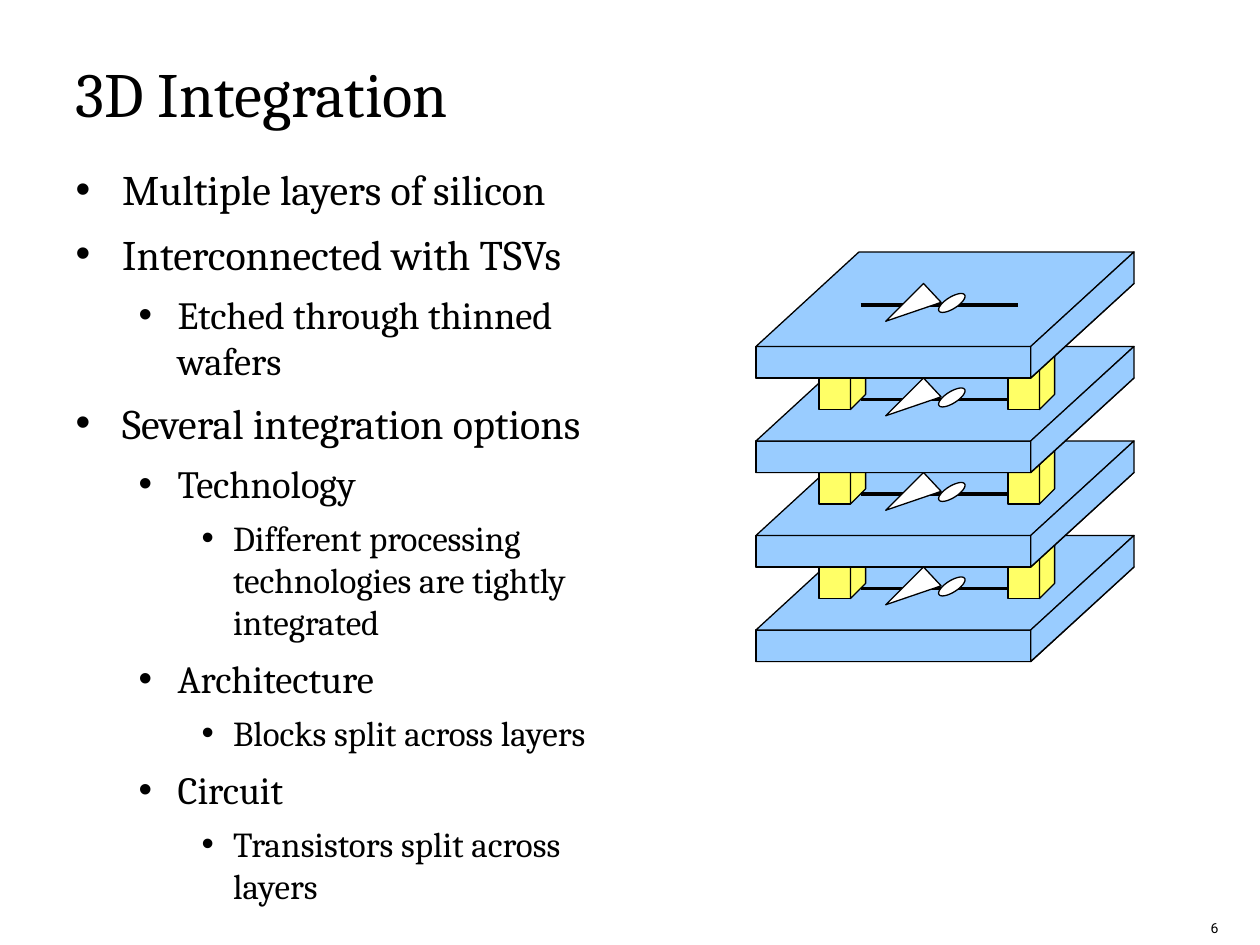
from math import cos, pi, sin

from lxml import etree
from pptx import Presentation
from pptx.dml.color import RGBColor
from pptx.enum.shapes import MSO_CONNECTOR, MSO_SHAPE
from pptx.enum.text import MSO_ANCHOR, MSO_AUTO_SIZE, PP_ALIGN
from pptx.oxml.ns import qn
from pptx.util import Pt

SCALE = 9144
RECTANGLE = MSO_SHAPE.RECTANGLE
PARALLELOGRAM = MSO_SHAPE.PARALLELOGRAM
STRAIGHT = MSO_CONNECTOR.STRAIGHT
TOP, BOTTOM = MSO_ANCHOR.TOP, MSO_ANCHOR.BOTTOM
LEFT, RIGHT = PP_ALIGN.LEFT, PP_ALIGN.RIGHT
NO_FIT = MSO_AUTO_SIZE.NONE

COLORS = {"ink": "000000", "silicon": "99CCFF", "via": "FFFF66", "gate": "FFFFFF"}
LEVELS = [
    {"size": 24, "before": 8, "margin": 37, "hang": 37},
    {"size": 22, "before": 7, "margin": 81, "hang": 31},
    {"size": 20, "before": 6, "margin": 125, "hang": 25},
]
POINTS = [
    (0, "Multiple layers of silicon"),
    (0, "Interconnected with TSVs"),
    (1, "Etched through thinned wafers"),
    (0, "Several integration options"),
    (1, "Technology"),
    (2, "Different processing technologies are tightly integrated"),
    (1, "Architecture"),
    (2, "Blocks split across layers"),
    (1, "Circuit"),
    (2, "Transistors split across layers"),
]
LAYER_TOPS = range(425, 199, -75)


def color(name):
    """Return the named palette colour."""
    return RGBColor.from_string(COLORS[name])


class SlideBuilder:
    """Holds the style and the current slide."""

    def __init__(self, page, font="Cambria"):
        """Keep the slide and its main font."""
        self.page = page
        self.font = font

    def place(self, box, left, top, width, height):
        """Move and resize a box."""
        box.left, box.top = left * SCALE, top * SCALE
        box.width, box.height = width * SCALE, height * SCALE

    def prepare(self, box, anchor):
        """Set wrapping and anchoring and return the text frame."""
        frame = box.text_frame
        frame.word_wrap = True
        frame.auto_size = NO_FIT
        frame.vertical_anchor = anchor
        return frame

    def add_text(self, para, text, size, align=LEFT, font=None):
        """Add one styled run to a paragraph."""
        para.alignment = align
        span = para.add_run()
        span.text = text
        span.font.size = Pt(size)
        span.font.name = font or self.font
        span.font.color.rgb = color("ink")

    def title(self, text, *bounds):
        """Fill the title placeholder."""
        box = self.page.shapes.title
        self.place(box, *bounds)
        self.add_text(self.prepare(box, BOTTOM).paragraphs[0], text, 36)

    def bullets(self, points, *bounds):
        """Fill the body placeholder with a multilevel list."""
        box = self.page.placeholders[1]
        self.place(box, *bounds)
        frame = self.prepare(box, TOP)
        for index, (level, text) in enumerate(points):
            style = LEVELS[level]
            para = frame.add_paragraph() if index else frame.paragraphs[0]
            para.level = level
            properties = para._p.get_or_add_pPr()
            properties.set("marL", str(style["margin"] * SCALE))
            properties.set("indent", str(-style["hang"] * SCALE))
            etree.SubElement(properties, qn("a:buChar")).set("char", "•")
            para.space_before = Pt(style["before"] if index else 0)
            self.add_text(para, text, style["size"])

    def label(self, text, size, font, *bounds):
        """Add a right-aligned text box."""
        box = self.page.shapes.add_textbox(*(value * SCALE for value in bounds))
        self.add_text(self.prepare(box, TOP).paragraphs[0], text, size, RIGHT, font)

    def paint(self, shape, fill):
        """Give a shape a flat fill and a hairline."""
        shape.shadow.inherit = False
        shape.fill.solid()
        shape.fill.fore_color.rgb = color(fill)
        shape.line.color.rgb = color("ink")
        shape.line.width = 0

    def shape(self, shapes, kind, fill, *bounds):
        """Add a preset shape."""
        shape = shapes.add_shape(kind, *(value * SCALE for value in bounds))
        self.paint(shape, fill)
        return shape

    def outline(self, shapes, fill, *contours):
        """Add one freeform made of closed contours."""
        scaled = [[(x * SCALE, y * SCALE) for x, y in contour] for contour in contours]
        builder = shapes.build_freeform(*scaled[0][0])
        for index, contour in enumerate(scaled):
            if index:
                builder.move_to(*contour[0])
            builder.add_line_segments(contour[1:], close=True)
        self.paint(builder.convert_to_shape(), fill)

    def wire(self, left, right, y):
        """Add a horizontal hairline."""
        line = self.page.shapes.add_connector(
            STRAIGHT, left * SCALE, y * SCALE, right * SCALE, y * SCALE
        )
        line.line.color.rgb = color("ink")
        line.line.width = 0
        etree.SubElement(line._element.spPr, qn("a:effectLst"))

    def plate(self, top):
        """Draw one silicon layer as a grouped slab."""
        shapes = self.page.shapes.add_group_shape().shapes

        def face(y):
            slab = self.shape(shapes, PARALLELOGRAM, "silicon", 600, y, 300, 75)
            slab.adjustments[0] = 1.09

        face(top + 25)
        self.shape(shapes, RECTANGLE, "silicon", 600, top + 75, 218, 25)
        face(top)
        side = [(818, top + 100), (900, top + 25), (900, top), (818, top + 75)]
        self.outline(shapes, "silicon", side)

    def pillar(self, left, top):
        """Draw one via as a grouped post."""
        shapes = self.page.shapes.add_group_shape().shapes
        self.shape(shapes, RECTANGLE, "via", left, top, 25, 50)
        near, far = left + 25, left + 37
        side = [(near, top + 50), (far, top + 38), (far, top - 12), (near, top)]
        self.outline(shapes, "via", side)

    def gate(self, top):
        """Draw the inverter symbol with its slanted bubble."""
        triangle = [(747, top + 40), (703, top + 55), (733, top + 25)]
        angles = [step * pi / 24 for step in range(48)]
        bubble = [
            (755.5 + 10.5 * cos(angle), top + 40.5 + 7.5 * sin(angle - pi / 4))
            for angle in angles
        ]
        self.outline(self.page.shapes, "gate", triangle, bubble)


def main():
    """Build and save the slide."""
    deck = Presentation()
    deck.slide_width, deck.slide_height = 1000 * SCALE, 750 * SCALE
    builder = SlideBuilder(deck.slides.add_slide(deck.slide_layouts[1]))
    builder.title("3D Integration", 50, -10, 600, 118)
    builder.bullets(POINTS, 50, 125, 445, 575)
    for top in LAYER_TOPS:
        covered = top > LAYER_TOPS[-1]
        builder.plate(top)
        if covered:
            builder.pillar(650, top)
        builder.wire(683, 808, top + 42)
        builder.gate(top)
        if covered:
            builder.pillar(800, top)
    builder.label("6", 8, "Roboto", 895, 725, 82, 26)
    deck.save("out.pptx")


if __name__ == "__main__":
    main()
